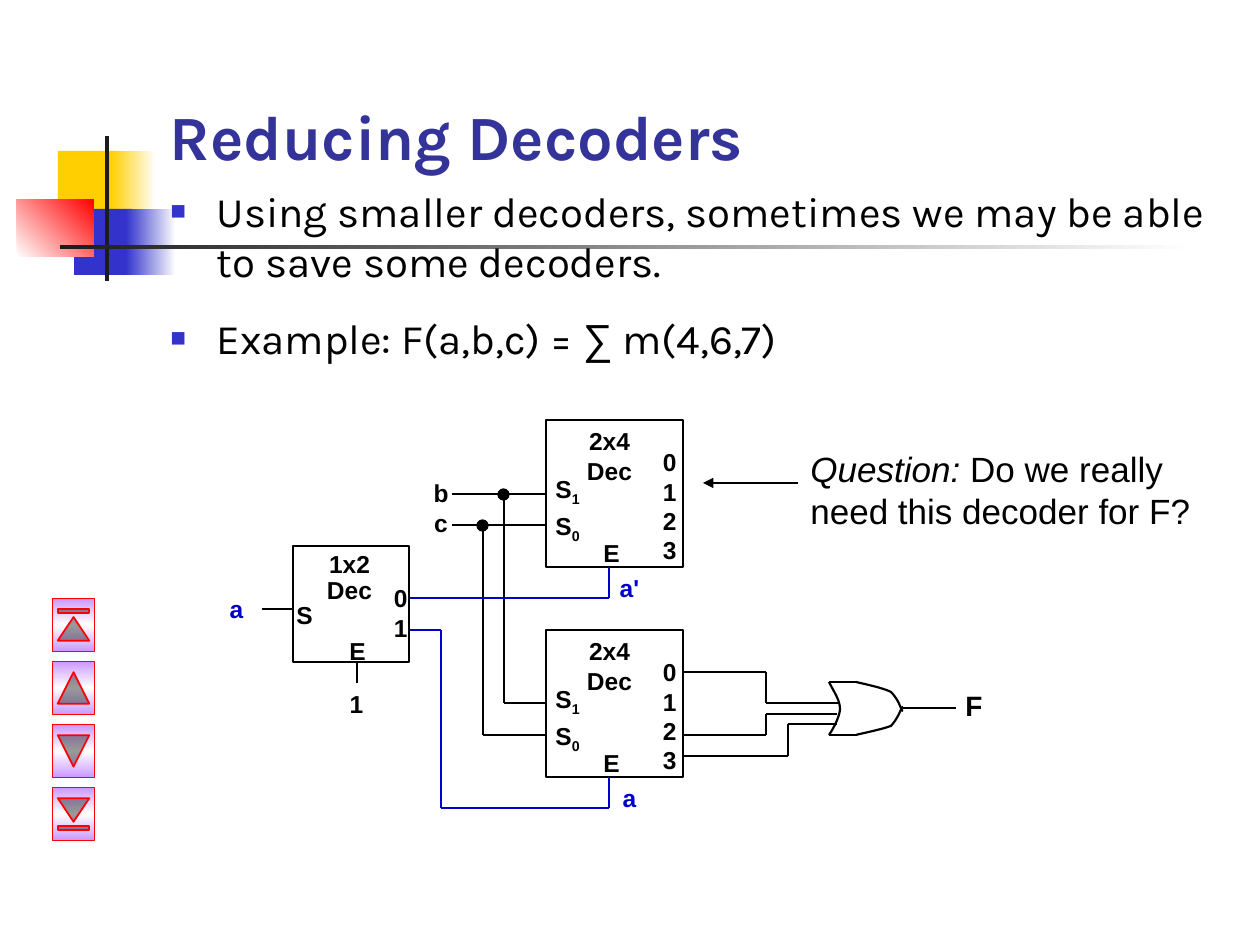
from dataclasses import dataclass
from pptx import Presentation, oxml, util as u
from pptx.dml.color import RGBColor
from pptx.enum import shapes, text
from pptx.oxml import ns

PX = 914400 / 126
KIND = shapes.MSO_SHAPE
ALIGN = text.PP_ALIGN


@dataclass(frozen=True)
class Theme:
    ink: str = "000000"
    white: str = "FFFFFF"
    head: str = "333399"
    blue: str = "0000CC"
    red: str = "FF0000"
    gold: str = "FFCF01"
    navy: str = "3333CC"
    dark: str = "1C1C1C"
    lilac: str = "CC99FF"
    sans: str = "Arial"
    face: str = "Karla"
    title: int = 36
    body: int = 24
    ask: int = 20
    mark: int = 16
    pin: int = 14
    thin: float = 0.75
    edge: float = 1
    wire: float = 1.25
    box: float = 1.5


def emu(*nums):
    return [round(n * PX) for n in nums]


def put(obj, **vals):
    for key, val in vals.items():
        setattr(obj, key, val)


def node(tag, inner="", **attrs):
    pairs = "".join(f' {key}="{val}"' for key, val in attrs.items())
    return oxml.parse_xml(f"<a:{tag} {ns.nsdecls('a')}{pairs}>{inner}</a:{tag}>")


def curve(start, *parts):
    points = [start]
    for one, two, end in parts:
        first = points[-1]
        for step in range(1, 13):
            t = step / 12
            s = 1 - t
            points.append(tuple(
                s**3 * a + 3 * s * s * t * b + 3 * s * t * t * c + t**3 * d
                for a, b, c, d in zip(first, one, two, end)))
    return points


class Pen:
    def __init__(self, slide, theme):
        self.slide, self.theme = slide, theme
        self.tree = slide.shapes

    def style(self, shape, fill=None, line=None, width=1):
        shape.shadow.inherit = False
        if fill:
            shape.fill.solid()
            shape.fill.fore_color.rgb = RGBColor.from_string(fill)
        else:
            shape.fill.background()
        if line:
            shape.line.color.rgb = RGBColor.from_string(line)
            shape.line.width = u.Pt(width)
        else:
            shape.line.fill.background()
        return shape

    def shape(self, kind, place, **look):
        return self.style(self.tree.add_shape(kind, *emu(*place)), **look)

    def fade(self, shape, stops, angle, turn=1):
        props = shape._element.spPr
        last = len(stops) - 1
        marks = "".join(
            f'<a:gs pos="{100000 * i // last}"><a:srgbClr val="{hue}"/></a:gs>'
            for i, hue in enumerate(stops))
        inner = f'<a:gsLst>{marks}</a:gsLst><a:lin ang="{angle * 60000}" scaled="0"/>'
        props.replace(props.find(ns.qn("a:solidFill")),
                      node("gradFill", inner, rotWithShape=turn))

    def wire(self, *points, hue=None, width=None, arrow=False):
        for start, end in zip(points, points[1:]):
            line = self.tree.add_connector(shapes.MSO_CONNECTOR.STRAIGHT, *emu(*start, *end))
            line.line.color.rgb = RGBColor.from_string(hue or self.theme.ink)
            line.line.width = u.Pt(width or self.theme.wire)
            props = line._element.spPr
            if arrow:
                props.find(ns.qn("a:ln")).append(node("tailEnd", type="triangle"))
            props.append(node("effectLst"))

    def arc(self, points):
        points = [emu(*point) for point in points]
        form = self.tree.build_freeform(*points[0])
        form.add_line_segments(points[1:], close=False)
        self.style(form.convert_to_shape(), line=self.theme.ink, width=self.theme.wire)

    def flow(self, frame, paras, size, hue=None, face=None, align=ALIGN.LEFT,
             gaps=(), space=None, bullet=False, bold=False):
        frame.word_wrap = True
        for i, runs in enumerate(paras):
            para = frame.paragraphs[0] if i == 0 else frame.add_paragraph()
            put(para, alignment=align, space_before=u.Pt(gaps[i] if gaps else 0))
            if space:
                para.line_spacing = space
            if bullet:
                self.dot(para)
            for item in [runs] if isinstance(runs, str) else runs:
                words, extra = (item, {}) if isinstance(item, str) else item
                run = para.add_run()
                run.text = words
                vals = dict(name=face or self.theme.sans, size=u.Pt(size), bold=bold) | extra
                base = vals.pop("base", None)
                put(run.font, **vals)
                run.font.color.rgb = RGBColor.from_string(hue or self.theme.ink)
                if base:
                    run._r.get_or_add_rPr().set("baseline", str(base * 1000))

    def dot(self, para):
        props = para._p.get_or_add_pPr()
        for key, val in dict(marL=342900, indent=-342900).items():
            props.set(key, str(val))
        props.append(node("buClr", f'<a:srgbClr val="{self.theme.navy}"/>'))
        props.append(node("buSzPct", val=120000))
        props.append(node("buFont", typeface=self.theme.sans))
        props.append(node("buChar", char="▪"))

    def text(self, place, paras, size, **look):
        self.flow(self.tree.add_textbox(*emu(*place)).text_frame, paras, size, **look)

    def label(self, place, *paras, align=ALIGN.CENTER, **look):
        self.text(place, paras, self.theme.pin, align=align, bold=True, **look)

    def title(self, place, words):
        head = self.tree.title
        self.tree._spTree.append(head._element)
        put(head, **dict(zip(("left", "top", "width", "height"), emu(*place))))
        head.text_frame.vertical_anchor = text.MSO_ANCHOR.BOTTOM
        self.flow(head.text_frame, [words], self.theme.title,
                  hue=self.theme.head, face=self.theme.face, bold=True)

    def block(self, place):
        self.shape(KIND.RECTANGLE, place, line=self.theme.ink, width=self.theme.box)

    def decoder(self, top):
        low = {"base": -25}
        self.block((546, top, 137, 147))
        self.label((557, top, 105, 71), "2x4", "Dec")
        self.label((543, top + 48, 58, 84), ["S", ("1", low)], ["S", ("0", low)],
                   align=ALIGN.LEFT, gaps=(0, 1.8))
        self.label((636, top + 21, 53, 131), *"0123", align=ALIGN.RIGHT)
        self.label((591, top + 112, 41, 43), "E")


def main():
    deck = Presentation()
    put(deck, slide_width=u.Inches(10), slide_height=u.Inches(7.5))
    look = Theme()
    pen = Pen(deck.slides.add_slide(deck.slide_layouts[5]), look)

    for place, hues, angle in (
            ((58, 151, 60, 66), [look.gold], 0),
            ((111, 151, 45, 66), [look.gold, look.white], 0),
            ((74, 209, 58, 66), [look.navy], 0),
            ((126, 209, 50, 66), [look.navy, look.white], 0),
            ((17, 199, 77, 58), [look.white, look.red], 315),
            ((105, 136, 4, 145), [look.dark], 0),
            ((60, 245, 1134, 4), [look.dark, look.white], 0)):
        patch = pen.shape(KIND.RECTANGLE, place, fill=hues[0])
        if len(hues) > 1:
            pen.fade(patch, hues, angle)

    pen.title((157, 21, 1071, 158), "Reducing Decoders")

    for i, name in enumerate(("BEGINNING", "BACK_OR_PREVIOUS", "FORWARD_OR_NEXT", "END")):
        key = pen.shape(KIND[f"ACTION_BUTTON_{name}"], (47, 604 + 63 * i, 53, 42),
                        fill=look.lilac, line=look.red, width=look.edge)
        key.rotation = 90
        pen.fade(key, [look.lilac, look.white, look.lilac], 90, turn=0)

    pen.text((157, 179, 1061, 210),
             ["Using smaller decoders, sometimes we may be able to save some decoders.",
              ["Example: F(a,b,c) = ", ("∑", {"name": look.sans}), " m(4,6,7)"]],
             look.body, face=look.face, gaps=(0, 15), bullet=True)

    pen.wire((683, 672), (766, 672), (766, 703), (840, 703))
    pen.wire((683, 735), (766, 735), (766, 714), (837, 714))
    pen.wire((683, 756), (788, 756), (788, 724), (837, 724))
    pen.arc(curve((829, 682), ((834, 692), (840, 700), (840, 709)),
                  ((840, 717), (832, 731), (829, 735))))
    for edge, near, far, tip in ((682, 685, 692, 711), (735, 732, 726, 707)):
        pen.wire((829, edge), (856, edge))
        pen.arc(curve((856, edge), ((869, near), (883, (near + far) // 2), (891, far)),
                      ((900, (far + tip) // 2), (901, tip), (903, tip))))
    pen.wire((903, 708), (956, 708))
    pen.text((953, 682, 42, 47), ["F"], look.mark, bold=True)

    for top in (420, 630):
        pen.decoder(top)
    for left, high, low in ((504, 494, 703), (483, 525, 735)):
        pen.wire((452, high), (546, high))
        pen.wire((left, high), (left, low), (546, low))
        pen.shape(KIND.OVAL, (left - 6, high - 5, 11, 11),
                  fill=look.ink, line=look.ink, width=look.thin)
    pen.wire((410, 598), (609, 598), (609, 567), hue=look.blue)
    pen.wire((410, 630), (441, 630), (441, 808), (609, 808), (609, 777), hue=look.blue)
    pen.wire((262, 609), (294, 609))
    pen.label((420, 472, 42, 71), "b", "c")
    for place, name in (((598, 567, 63, 43), "a'"), ((598, 777, 63, 43), "a"),
                        ((210, 588, 53, 43), "a")):
        pen.label(place, name, hue=look.blue)

    pen.block((293, 546, 116, 116))
    pen.label((297, 546, 105, 66), "1x2", "Dec", space=0.9)
    pen.label((284, 594, 59, 43), "S", align=ALIGN.LEFT)
    pen.label((367, 577, 53, 71), "0", "1", align=ALIGN.RIGHT)
    pen.label((335, 630, 45, 43), "E")
    pen.wire((357, 662), (357, 683), width=look.thin)
    pen.label((325, 683, 63, 43), "1")

    pen.text((798, 441, 431, 97),
             [[("Question:", {"italic": True}), " Do we really need this decoder for F?"]],
             look.ask)
    pen.wire((798, 483), (703, 483), width=look.thin, arrow=True)
    deck.save("out.pptx")


if __name__ == "__main__":
    main()
